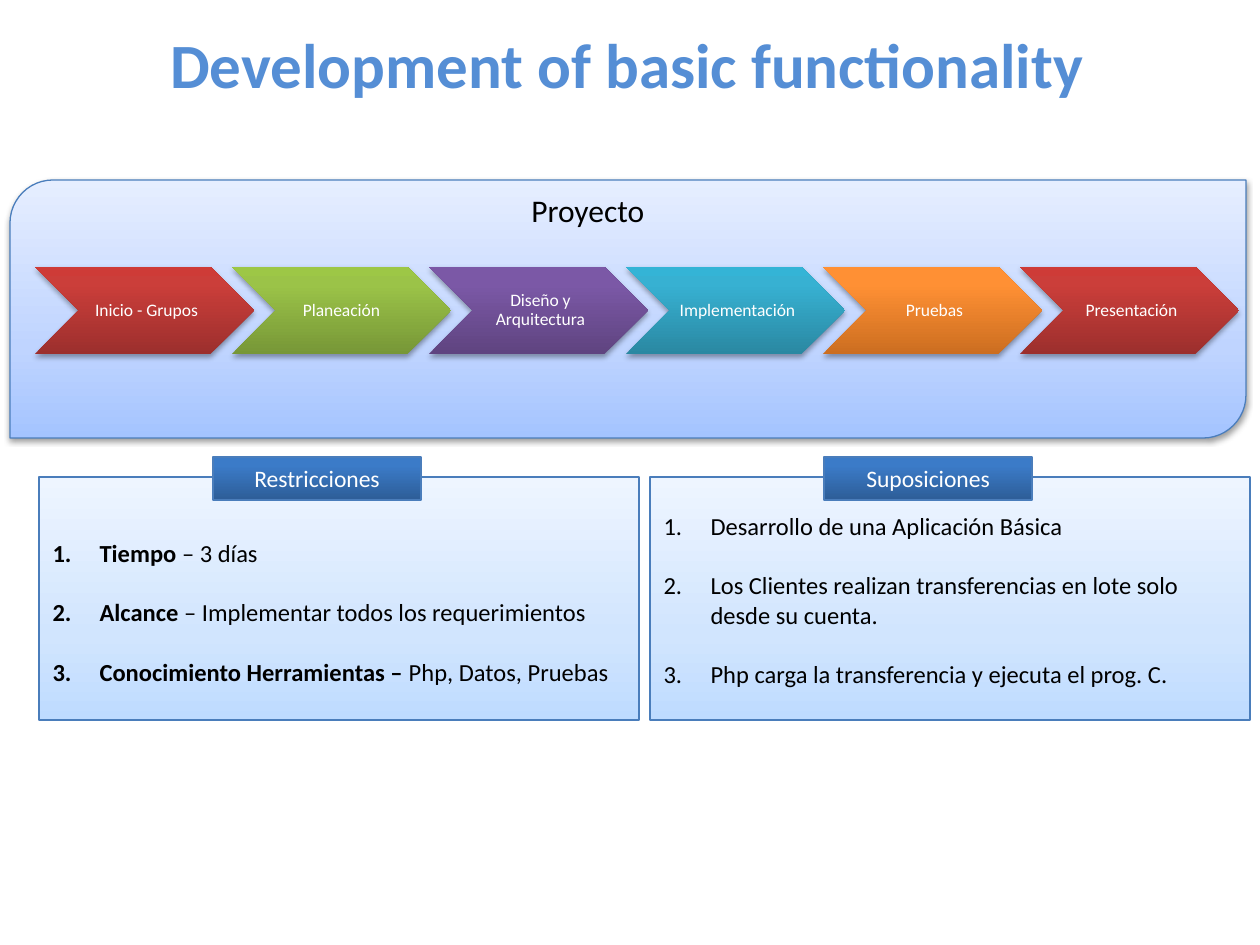
from copy import deepcopy

from pptx import Presentation
from pptx.dml.color import RGBColor
from pptx.enum.shapes import MSO_SHAPE as Shape
from pptx.enum.text import MSO_ANCHOR as Anchor, MSO_AUTO_SIZE as AutoSize, PP_ALIGN as Align
from pptx.oxml import parse_xml
from pptx.oxml.ns import nsdecls, qn
from pptx.util import Emu, Inches, Pt

SCALE = Inches(1) / 126
FONT = "Calibri"
RED = ("9C2F2D", "CB3E3A", "CE3B37")
PHASES = [
    ("Inicio - Grupos", RED),
    ("Planeación ", ("779737", "9BC348", "9DC746")),
    ("Diseño y Arquitectura", ("5F4480", "7B58A6", "7C57A8")),
    ("Implementación", ("2A88A2", "37B1D2", "34B4D6")),
    ("Pruebas", ("CC6E20", "FF9034", "FF9136")),
    ("Presentación", RED),
]
RESTRICTIONS = [
    [("Tiempo ", True), ("– 3 días", False)],
    [("Alcance ", True), ("– Implementar todos los requerimientos", False)],
    [("Conocimiento Herramientas – ", True), ("Php, Datos, Pruebas", False)],
]
ASSUMPTIONS = [
    [("Desarrollo de una Aplicación Básica", False)],
    [("Los Clientes realizan transferencias en lote solo desde su cuenta.", False)],
    [("Php carga la transferencia y ejecuta el prog. C.", False)],
]


def px(length):
    """Turn px into EMU."""
    return Emu(round(length * SCALE))


def color(value):
    """Turn a hex string into a colour."""
    return RGBColor.from_string(value)


def place(shape, left, top, width, height):
    """Move and size a shape."""
    shape.left, shape.top = px(left), px(top)
    shape.width, shape.height = px(width), px(height)


def add_run(paragraph, text, size, hex_color, bold=False):
    """Add one formatted run."""
    run = paragraph.add_run()
    run.text = text
    font = run.font
    font.name, font.size, font.bold = FONT, Pt(size), bold
    font.color.rgb = color(hex_color)


def add_gradient_shape(slide, kind, box, colors, middle, line=None):
    """Add a shape with a three-stop gradient that rises from its bottom."""
    shape = slide.shapes.add_shape(kind, *map(px, box))
    shape.shadow.inherit = False
    shape.fill.gradient()
    shape.fill.gradient_angle = 90
    stops = shape.element.spPr.find(".//" + qn("a:gsLst"))
    stops.append(deepcopy(stops[-1]))
    for stop, value, position in zip(shape.fill.gradient_stops, colors, (0, middle, 1)):
        stop.color.rgb = color(value)
        stop.position = position
    if line:
        shape.line.color.rgb = color(line)
        shape.line.width = Pt(0.75)
    else:
        shape.line.fill.background()
    return shape


def add_shadow(shape, alpha, distance):
    """Give a shape a soft shadow below it."""
    shape.element.spPr.find(qn("a:effectLst")).append(parse_xml(
        f'<a:outerShdw {nsdecls("a")} blurRad="{Pt(3.1)}" dist="{Pt(distance)}" '
        f'dir="5400000" rotWithShape="0"><a:srgbClr val="000000">'
        f'<a:alpha val="{alpha * 1000}"/></a:srgbClr></a:outerShdw>'))


def add_title(slide, box):
    """Fill the title placeholder."""
    title = slide.shapes.title
    place(title, *box)
    title.text_frame.auto_size = AutoSize.NONE
    paragraph = title.text_frame.paragraphs[0]
    paragraph.alignment = Align.CENTER
    add_run(paragraph, "Development of basic functionality", 36, "558ED5", True)


def add_phase(slide, box, name, colors):
    """Add one chevron with the name of its phase."""
    chevron = add_gradient_shape(slide, Shape.CHEVRON, box, colors, 0.8)
    add_shadow(chevron, 35, 1.8)
    frame = chevron.text_frame
    frame.word_wrap = True
    frame.vertical_anchor = Anchor.MIDDLE
    frame.margin_left = Inches(0.04)
    frame.margin_right = frame.margin_top = frame.margin_bottom = Inches(0.01)
    paragraph = frame.paragraphs[0]
    paragraph.alignment = Align.CENTER
    paragraph.line_spacing = 0.9
    add_run(paragraph, name, 10, "FFFFFF")


def add_project(slide, box):
    """Add the project panel with its row of phases."""
    left, top, _, _ = box
    panel = add_gradient_shape(slide, Shape.ROUND_2_DIAG_RECTANGLE, box,
                               ("A4C4FF", "BFD4FF", "E6EEFF"), 0.35, "4B7EBC")
    add_shadow(panel, 38, 1.6)
    for index, (name, colors) in enumerate(PHASES):
        add_phase(slide, (left + 25 + 197 * index, top + 87, 219, 87), name, colors)
    heading = slide.shapes.add_textbox(*map(px, (left + 509, top + 5, 141, 50)))
    heading.text_frame.word_wrap = False
    add_run(heading.text_frame.paragraphs[0], "Proyecto", 18, "000000")


def fill_list(placeholder, items):
    """Write a numbered list into a body placeholder."""
    frame = placeholder.text_frame
    frame.auto_size = AutoSize.NONE
    for index, runs in enumerate(items):
        paragraph = frame.add_paragraph() if index else frame.paragraphs[0]
        paragraph.space_before = Pt(17 if index else 0)
        for text, bold in runs:
            add_run(paragraph, text, 14, "000000", bold)
    for properties in placeholder.element.iter(qn("a:pPr")):
        properties.set("marL", str(px(47)))
        properties.set("indent", str(-px(47)))
        properties.append(parse_xml(f'<a:buFont {nsdecls("a")} typeface="+mj-lt"/>'))
        properties.append(parse_xml(f'<a:buAutoNum {nsdecls("a")} type="arabicPeriod"/>'))


def add_list_panel(slide, box, heading, placeholder, items, inset, list_height):
    """Add a panel with a heading on its top edge and a numbered list."""
    left, top, _, _ = box
    add_gradient_shape(slide, Shape.RECTANGLE, box,
                       ("BEDBFF", "D1E5FE", "EEF5FF"), 0.35, "4A7DBB")
    label = add_gradient_shape(slide, Shape.RECTANGLE, (left + 174, top - 20, 208, 43),
                               ("2D5D97", "3B7BC8", "3A7CCA"), 0.8, "4A7DBB")
    paragraph = label.text_frame.paragraphs[0]
    paragraph.alignment = Align.CENTER
    add_run(paragraph, heading, 13.5, "FFFFFF")
    place(placeholder, left + 1, top + inset, 591, list_height)
    fill_list(placeholder, items)
    slide.shapes.element.append(placeholder.element)


def main():
    """Build and save the slide."""
    presentation = Presentation()
    presentation.slide_width, presentation.slide_height = Inches(10), Inches(7.5)
    slide = presentation.slides.add_slide(presentation.slide_layouts[3])
    _, left_body, right_body = list(slide.placeholders)
    add_title(slide, (74, 19, 1106, 89))
    add_project(slide, (10, 180, 1236, 258))
    add_list_panel(slide, (39, 477, 600, 243), "Restricciones", left_body, RESTRICTIONS, 55, 161)
    add_list_panel(slide, (650, 477, 600, 243), "Suposiciones", right_body, ASSUMPTIONS, 28, 310)
    presentation.save("out.pptx")


if __name__ == "__main__":
    main()
